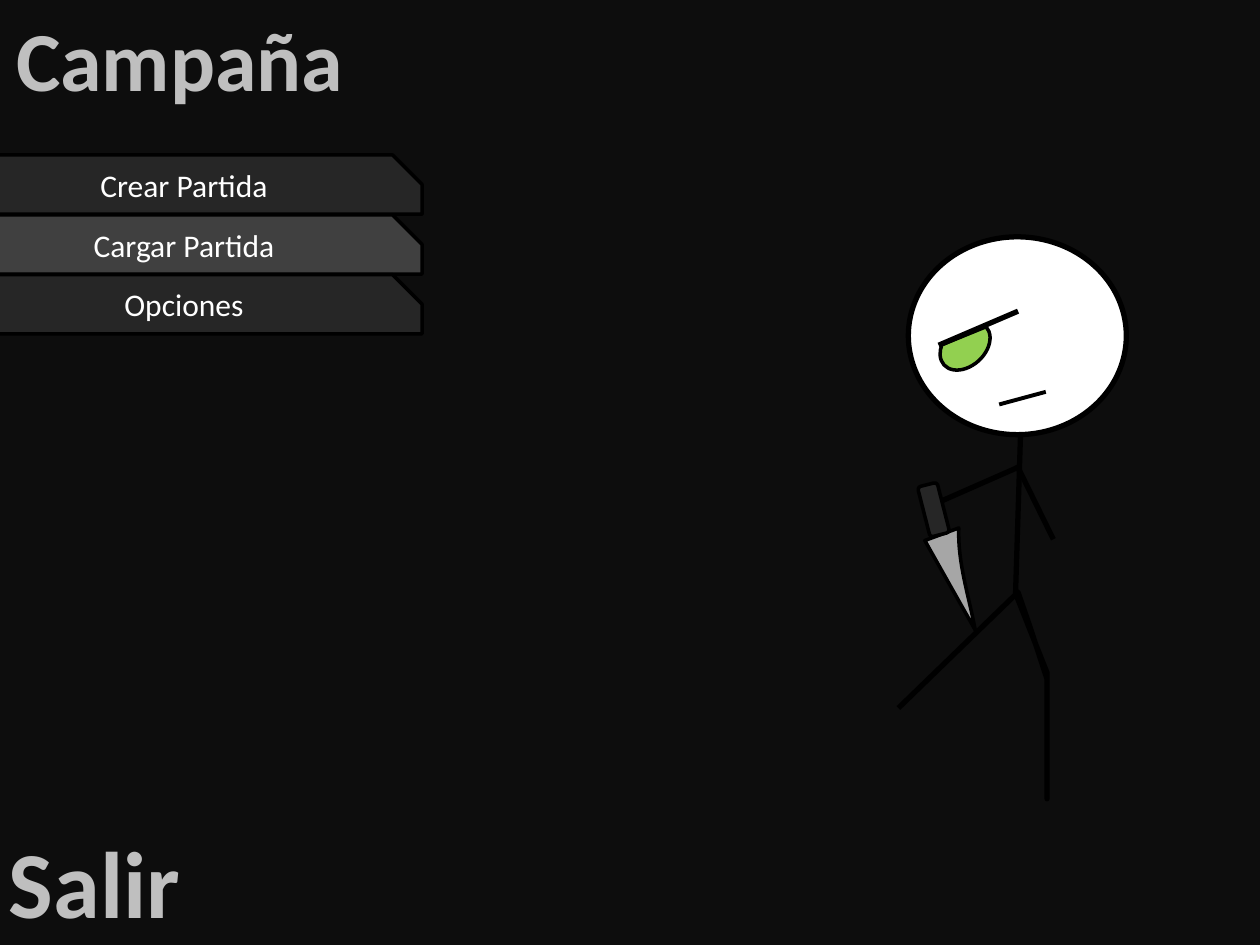
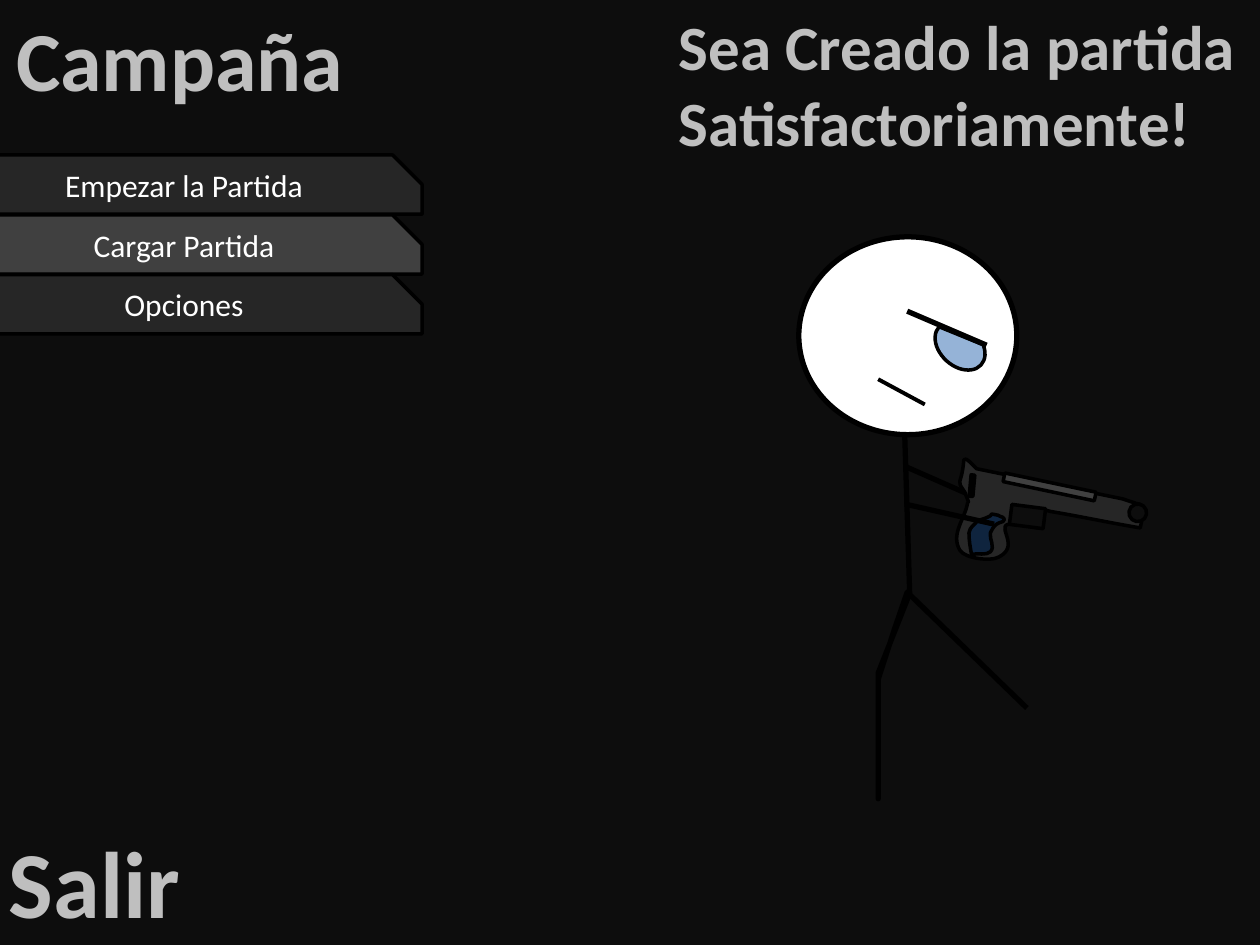
from lxml import etree
from pptx import Presentation
from pptx.dml.color import RGBColor
from pptx.enum.shapes import MSO_CONNECTOR, MSO_SHAPE
from pptx.enum.text import MSO_ANCHOR, MSO_AUTO_SIZE, PP_ALIGN
from pptx.oxml.ns import qn
from pptx.util import Cm, Pt

STRAIGHT = MSO_CONNECTOR.STRAIGHT
OVAL, CHORD = MSO_SHAPE.OVAL, MSO_SHAPE.CHORD
RECTANGLE, ROUNDED = MSO_SHAPE.RECTANGLE, MSO_SHAPE.ROUNDED_RECTANGLE
SNIPPED = MSO_SHAPE.SNIP_2_DIAG_RECTANGLE
LEFT, CENTER, RIGHT = PP_ALIGN.LEFT, PP_ALIGN.CENTER, PP_ALIGN.RIGHT
MIDDLE = MSO_ANCHOR.MIDDLE
FIT_SHAPE = MSO_AUTO_SIZE.SHAPE_TO_FIT_TEXT

INCH = 2.54  # centimetres; all layout values below are in inches
MIRROR_SUM = 15.28  # x of a point plus x of its mirrored twin

COLORS = {
    "background": "0D0D0D",
    "heading": "BFBFBF",
    "white": "FFFFFF",
    "black": "000000",
    "dark": "262626",
    "lighter": "404040",
    "blade": "A6A6A6",
    "gray": "808080",
    "navy": "0F243E",
    "green": "92D050",
    "blue": "95B3D7",
}
COLORS = {name: RGBColor.from_string(value) for name, value in COLORS.items()}


def paint(shape, fill, width):
    shape.shadow.inherit = False
    if fill:
        shape.fill.solid()
        shape.fill.fore_color.rgb = COLORS[fill]
    else:
        shape.fill.background()
    shape.line.color.rgb = COLORS["black"]
    shape.line.width = Pt(width)


def draw_part(group, part, mirrored=False):
    """Draw a preset shape, a straight line or a freeform in the group."""
    kind, points, fill, width, detail = part
    if kind == "preset":
        preset, rotation = detail
        left, top, wide, high = points
        if mirrored:
            left, rotation = MIRROR_SUM - left - wide, -rotation
        shape = group.shapes.add_shape(
            preset, *[Cm(value * INCH) for value in (left, top, wide, high)])
        shape.rotation = rotation % 360
        if mirrored:
            shape.element.spPr.find(qn("a:xfrm")).set("flipH", "1")
        paint(shape, fill, width)
        return

    spots = [(Cm((MIRROR_SUM - x if mirrored else x) * INCH), Cm(y * INCH))
             for x, y in points]
    if kind == "line":
        line = group.shapes.add_connector(STRAIGHT, *spots[0], *spots[1])
        line.line.color.rgb = COLORS["black"]
        line.line.width = Pt(width)
        etree.SubElement(line.element.spPr, qn("a:effectLst"))
        return

    # Freeform: the first `curves` triples of points become Bezier segments
    curves, closed = detail
    builder = group.shapes.build_freeform(*spots[0], scale=1.0)
    builder.add_line_segments(spots[1:], close=closed)
    shape = builder.convert_to_shape()
    steps = shape.element.findall(".//" + qn("a:lnTo"))
    for index in range(curves):
        triple = steps[3 * index:3 * index + 3]
        curve = etree.Element(qn("a:cubicBezTo"))
        triple[0].addprevious(curve)
        for step in triple:
            curve.append(step[0])
            step.getparent().remove(step)
    paint(shape, fill, width)


# Figure parts: kind, points, fill, line width, detail
KNIFE_ARM = [
    ("line", [(8.07, 3.69), (8.36, 4.28)], None, 3, None),
    ("line", [(8.3, 3.11), (7.93, 3.21)], None, 2.25, None),
    ("freeform", [(7.61, 4.19), (7.6, 4.47), (7.69, 4.73), (7.74, 5),
                  (7.34, 4.29), (7.61, 4.19)], "blade", 2, (1, True)),
    ("preset", (7.33, 3.84, 0.16, 0.41), "dark", 2, (ROUNDED, -14.3)),
]
GUN_BODY = [
    (7.68, 3.99),
    (7.66, 4.12), (7.54, 4.24), (7.62, 4.37),
    (7.66, 4.43), (7.86, 4.46), (7.93, 4.42),
    (8.12, 4.32), (7.85, 4.14), (8.06, 4.16),
    (8.12, 4.17), (8.18, 4.18), (8.24, 4.19),
    (8.24, 4.16), (8.22, 4.08), (8.27, 4.05),
    (8.29, 4.05), (8.32, 4.05), (8.34, 4.06),
    (8.58, 4.1), (8.81, 4.15), (9.05, 4.19),
    (9.06, 4.13), (9.08, 4.08), (9.07, 4.02),
    (9.06, 4), (9.02, 4), (9, 3.99),
    (8.97, 3.98), (8.94, 3.97), (8.91, 3.96),
    (8.52, 3.88), (8.14, 3.8), (7.75, 3.72),
    (7.72, 3.69), (7.66, 3.62), (7.65, 3.65),
    (7.63, 3.88), (7.58, 3.79), (7.66, 3.91),
    (7.66, 3.92), (7.66, 3.93), (7.67, 3.94),
    (7.7, 4.01), (7.68, 3.98), (7.68, 3.99),
]
GUN_GRIP = [
    (7.76, 4.13),
    (7.74, 4.16), (7.71, 4.18), (7.7, 4.2),
    (7.69, 4.21), (7.69, 4.22), (7.69, 4.23),
    (7.69, 4.29), (7.7, 4.34), (7.71, 4.4),
    (7.76, 4.39), (7.83, 4.41), (7.86, 4.38),
    (7.9, 4.34), (7.85, 4.28), (7.86, 4.23),
    (7.86, 4.22), (7.86, 4.22), (7.87, 4.21),
    (7.88, 4.19), (7.9, 4.16), (7.93, 4.15),
    (7.94, 4.14), (7.95, 4.14), (7.96, 4.14),
    (7.96, 4.13), (7.98, 4.12), (7.97, 4.12),
    (7.97, 4.11), (7.95, 4.1), (7.94, 4.1),
    (7.91, 4.08), (7.9, 4.09), (7.87, 4.08),
    (7.86, 4.09), (7.86, 4.1), (7.85, 4.1),
    (7.81, 4.12), (7.77, 4.13), (7.76, 4.13),
]
GUN_ARM = [
    ("freeform", GUN_BODY, "dark", 2, (len(GUN_BODY) // 3, True)),
    ("preset", (8.96, 4, 0.14, 0.14), "background", 2, (OVAL, 9.8)),
    ("preset", (8.02, 4.02, 0.27, 0.16), "background", 2, (RECTANGLE, 7.3)),
    ("freeform", GUN_GRIP, "navy", 2, (len(GUN_GRIP) // 3, True)),
    ("preset", (7.96, 3.83, 0.74, 0.07), "lighter", 2, (RECTANGLE, 11.9)),
    ("preset", (7.7, 3.77, 0.03, 0.17), "gray", 2, (RECTANGLE, 5.1)),
    ("line", [(7.18, 4), (7.89, 4.16)], None, 3, None),
    ("line", [(6.97, 3.01), (7.34, 3.21)], None, 2.25, None),
]
SPINE_AND_LEGS = [(7.18, 3.44), (7.22, 4.71), (6.97, 5.34), (6.97, 6.34),
                  (6.97, 5.39), (7.1, 4.99), (7.2, 4.7), (8.15, 5.62)]

# Headings: frame, lines, alignment, size
CAMPAIGN = ((0.03, 0.01, 2.83, 0.91), ["Campaña"], LEFT, 48)
EXIT = ((-0.04, 6.49, 1.57, 1.01), ["Salir"], RIGHT, 54)
CREATED = ((5.29, 0.01, 4.66, 1.31),
           ["Sea Creado la partida", "Satisfactoriamente!"], LEFT, 36)

SCREENS = [
    {"first": "Crear Partida", "headings": [CAMPAIGN, EXIT],
     "eye": "green", "mirrored": True, "weapon": KNIFE_ARM},
    {"first": "Empezar la Partida", "headings": [CAMPAIGN, EXIT, CREATED],
     "eye": "blue", "mirrored": False, "weapon": GUN_ARM},
]

deck = Presentation()
deck.slide_width, deck.slide_height = Cm(10 * INCH), Cm(7.5 * INCH)

for screen in SCREENS:
    page = deck.slides.add_slide(deck.slide_layouts[6])
    page.background.fill.solid()
    page.background.fill.fore_color.rgb = COLORS["background"]
    texts = []

    # Headings
    for frame, lines, align, size in screen["headings"]:
        box = page.shapes.add_textbox(*[Cm(value * INCH) for value in frame])
        box.text_frame.word_wrap = False
        box.text_frame.auto_size = FIT_SHAPE
        texts.append((box, lines, align, "heading",
                      {"size": Pt(size), "bold": True}))

    # Menu buttons
    labels = [screen["first"], "Cargar Partida", "Opciones"]
    for row, label in enumerate(labels):
        frame = (-0.43, 1.23 + 0.475 * row, 3.78, 0.47)
        button = page.shapes.add_shape(
            SNIPPED, *[Cm(value * INCH) for value in frame])
        button.adjustments[0], button.adjustments[1] = 0, 0.5
        paint(button, "lighter" if row % 2 else "dark", 2)
        button.text_frame.vertical_anchor = MIDDLE
        texts.append((button, [label], CENTER, "white", {"size": Pt(18)}))

    # Text of headings and buttons
    for box, lines, align, color, formats in texts:
        box.text_frame.text = "\n".join(lines)
        for para in box.text_frame.paragraphs:
            para.alignment = align
            span = para.runs[0]
            span.font.color.rgb = COLORS[color]
            for name, value in {"name": "Calibri", **formats}.items():
                setattr(span.font, name, value)

    # Stick figure, facing right unless mirrored
    body = [
        ("preset", (6.34, 1.88, 1.73, 1.57), "white", 3, (OVAL, 0)),
        ("freeform", SPINE_AND_LEGS, None, 3, (0, False)),
        ("line", [(7.18, 3.7), (7.93, 4.03)], None, 3, None),
        ("preset", (7.46, 2.52, 0.32, 0.45), screen["eye"], 2, (CHORD, -47.7)),
        ("line", [(7.2, 2.47), (7.83, 2.74)], None, 3, None),
    ]
    figure = page.shapes.add_group_shape()
    for part in body:
        draw_part(figure, part, screen["mirrored"])
    for part in screen["weapon"]:
        draw_part(figure, part)

deck.save("out.pptx")
